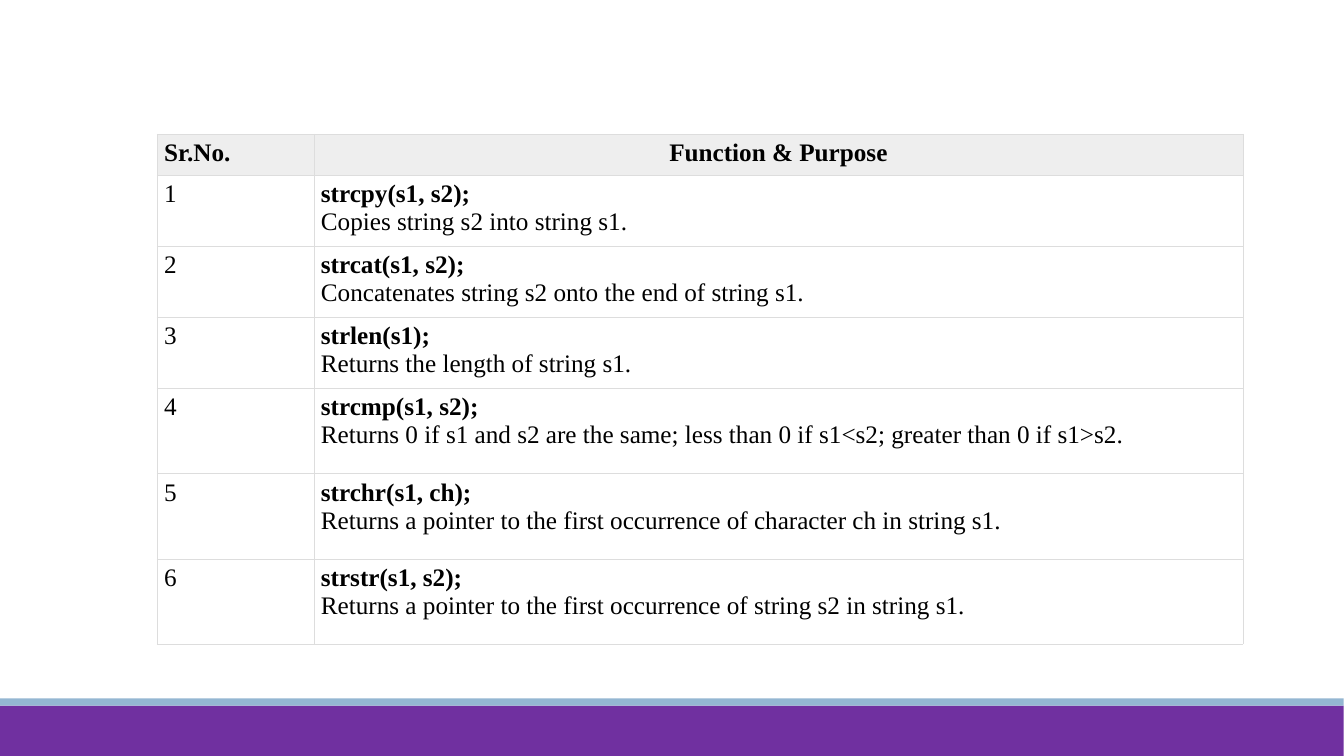
from lxml import etree
from pptx import Presentation
from pptx.dml.color import RGBColor
from pptx.enum.shapes import MSO_SHAPE
from pptx.enum.text import PP_ALIGN
from pptx.oxml.ns import qn
from pptx.util import Cm, Pt

RECTANGLE = MSO_SHAPE.RECTANGLE
LEFT, CENTER, JUSTIFY = PP_ALIGN.LEFT, PP_ALIGN.CENTER, PP_ALIGN.JUSTIFY
BORDER_COLOR = "DDDDDD"
TEXT_FORMAT = {"name": "Times New Roman", "size": Pt(18)}
CELL_FORMAT = {
    "margin_left": Cm(0.18),
    "margin_right": Cm(0.18),
    "margin_top": Cm(0.13),
    "margin_bottom": Cm(0.13),
}


def paint(fill, color):
    fill.solid()
    fill.fore_color.rgb = RGBColor.from_string(color)


def add_borders(cell):
    properties = cell._tc.get_or_add_tcPr()
    for side in ("lnL", "lnR", "lnT", "lnB"):
        line = etree.SubElement(properties, qn(f"a:{side}"), w=str(Pt(0.34)))
        line_fill = etree.SubElement(line, qn("a:solidFill"))
        etree.SubElement(line_fill, qn("a:srgbClr"), val=BORDER_COLOR)


functions = [
    ("strcpy(s1, s2);", "Copies string s2 into string s1."),
    ("strcat(s1, s2);", "Concatenates string s2 onto the end of string s1."),
    ("strlen(s1);", "Returns the length of string s1."),
    ("strcmp(s1, s2);", "Returns 0 if s1 and s2 are the same; less than 0 if s1<s2; greater than 0 if s1>s2."),
    ("strchr(s1, ch);", "Returns a pointer to the first occurrence of character ch in string s1."),
    ("strstr(s1, s2);", "Returns a pointer to the first occurrence of string s2 in string s1."),
]
column_widths = [3.95, 23.43]
row_heights = [1.03] + [1.79] * 3 + [2.15] * 3

presentation = Presentation()
presentation.slide_width = Cm(33.88)
presentation.slide_height = Cm(19.05)
slide = presentation.slides.add_slide(presentation.slide_layouts[6])

for top, height, color in [(17.78, 1.27, "7030A0"), (17.6, 0.18, "94B6D2")]:
    band = slide.shapes.add_shape(RECTANGLE, Cm(0), Cm(top), Cm(33.87), Cm(height))
    band.shadow.inherit = False
    paint(band.fill, color)
    band.line.fill.background()

table = slide.shapes.add_table(
    len(row_heights), len(column_widths), Cm(3.96), Cm(3.38),
    Cm(sum(column_widths)), Cm(sum(row_heights)),
).table
table.first_row = False
table.horz_banding = False
for column, width in zip(table.columns, column_widths):
    column.width = Cm(width)
for row, height in zip(table.rows, row_heights):
    row.height = Cm(height)

rows = [(["Sr.No."], ["Function & Purpose"])]
rows += [([str(number)], lines) for number, lines in enumerate(functions, 1)]

for row_index, row_texts in enumerate(rows):
    is_header = row_index == 0
    alignments = (LEFT, CENTER if is_header else JUSTIFY)
    for column_index, lines in enumerate(row_texts):
        cell = table.cell(row_index, column_index)
        for attribute, value in CELL_FORMAT.items():
            setattr(cell, attribute, value)
        add_borders(cell)
        if is_header:
            paint(cell.fill, "EEEEEE")
        else:
            cell.fill.background()
        cell.text = "\n".join(lines)
        for line_index, paragraph in enumerate(cell.text_frame.paragraphs):
            paragraph.alignment = alignments[column_index]
            font = paragraph.runs[0].font
            for attribute, value in TEXT_FORMAT.items():
                setattr(font, attribute, value)
            font.bold = is_header or (column_index == 1 and line_index == 0)
            font.color.rgb = RGBColor.from_string("000000")

presentation.save("out.pptx")
